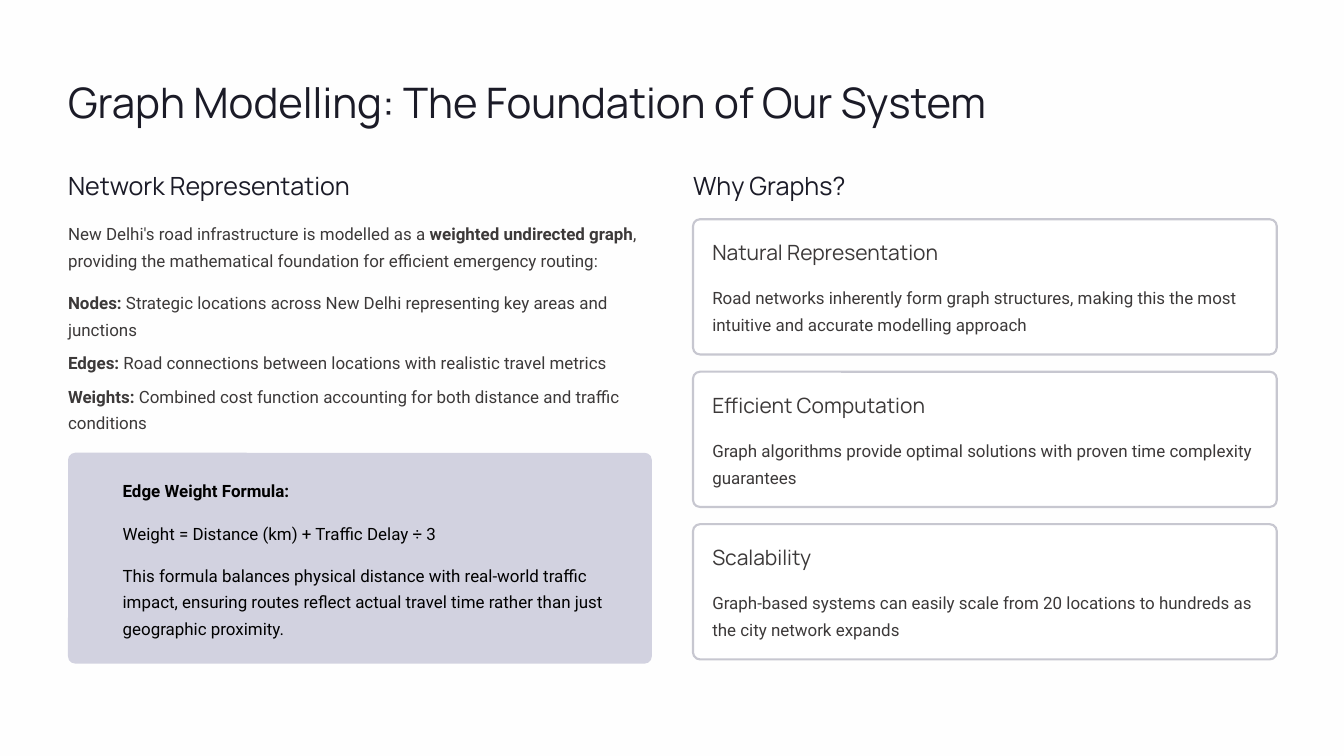
from dataclasses import dataclass

from lxml.etree import SubElement
from pptx import Presentation
from pptx.dml.color import RGBColor
from pptx.enum.shapes import MSO_SHAPE
from pptx.enum.text import MSO_ANCHOR, MSO_AUTO_SIZE, PP_ALIGN
from pptx.oxml.ns import qn
from pptx.util import Inches, Pt


@dataclass(frozen=True)
class Theme:
    background = RGBColor.from_string("FEFEFE")
    white = RGBColor.from_string("FFFFFF")
    ink = RGBColor.from_string("1B1B27")
    gray = RGBColor.from_string("3C3939")
    black = RGBColor.from_string("000000")
    panel = RGBColor.from_string("D2D2E0")
    border = RGBColor.from_string("C7C7D0")
    # font, size, line spacing, colour
    title = ("Manrope", 36, 45, ink)
    heading = ("Manrope", 21.5, 27, ink)
    card_title = ("Manrope", 18, 22.5, gray)
    body = ("Roboto", 14.5, 23, gray)
    formula = ("Roboto", 14.5, 23, black)


def write(sp, box, paragraphs, style, gap=0):
    """Place sp at box; each paragraph is a list of (text, bold) runs."""
    sp.left, sp.top, sp.width, sp.height = map(Inches, box)
    font, size, spacing, color = style
    tf = sp.text_frame
    frame_format = {
        "margin_left": 0, "margin_right": 0, "margin_top": 0, "margin_bottom": 0,
        "word_wrap": True, "auto_size": MSO_AUTO_SIZE.NONE,
        "vertical_anchor": MSO_ANCHOR.TOP,
    }
    for name, value in frame_format.items():
        setattr(tf, name, value)
    for i, runs in enumerate(paragraphs):
        p = tf.add_paragraph() if i else tf.paragraphs[0]
        pPr = p._p.get_or_add_pPr()
        pPr.set("marL", "0")
        pPr.set("indent", "0")
        SubElement(pPr, qn("a:buNone"))
        p.alignment = PP_ALIGN.LEFT
        p.line_spacing = Pt(spacing)
        p.space_before = Pt(gap if i else 0)
        for text, bold in runs:
            r = p.add_run()
            r.text = text
            run_format = {"name": font, "size": Pt(size), "bold": bold}
            for name, value in run_format.items():
                setattr(r.font, name, value)
            r.font.color.rgb = color


def add_panel(box, radius, fill, line=None):
    sp = s.shapes.add_shape(MSO_SHAPE.ROUNDED_RECTANGLE, *map(Inches, box))
    sp.adjustments[0] = radius
    sp.shadow.inherit = False
    sp.fill.solid()
    sp.fill.fore_color.rgb = fill
    if line is None:
        sp.line.fill.background()
    else:
        sp.line.color.rgb = line
        sp.line.width = Pt(1.8)


theme = Theme()
prs = Presentation()
prs.slide_width, prs.slide_height = Inches(16), Inches(9)
s = prs.slides.add_slide(prs.slide_layouts[1])
s.background.fill.solid()
s.background.fill.fore_color.rgb = theme.background

LEFT, RIGHT, COLUMN = 0.81, 8.25, 6.95

write(s.shapes.title, (LEFT, 0.88, 14.39, 0.63),
      [[("Graph Modelling: The Foundation of Our System", False)]], theme.title)

write(s.placeholders[1], (LEFT, 3.41, COLUMN, 1.75), [
    [("Nodes:", True),
     (" Strategic locations across New Delhi representing key areas and junctions", False)],
    [("Edges:", True),
     (" Road connections between locations with realistic travel metrics", False)],
    [("Weights:", True),
     (" Combined cost function accounting for both distance and traffic conditions", False)],
], theme.body, gap=5.5)

add_panel((LEFT, 5.39, COLUMN, 2.51), 0.034, theme.panel)

texts = [
    ((LEFT, 2.01, COLUMN, 0.38), [("Network Representation", False)], theme.heading),
    ((RIGHT, 2.01, COLUMN, 0.38), [("Why Graphs?", False)], theme.heading),
    ((LEFT, 2.59, COLUMN, 0.64),
     [("New Delhi's road infrastructure is modelled as a ", False),
      ("weighted undirected graph", True),
      (", providing the mathematical foundation for efficient emergency routing:", False)],
     theme.body),
    ((1.46, 5.64, 6.09, 0.32), [("Edge Weight Formula:", True)], theme.formula),
    ((1.46, 6.15, 6.09, 0.32),
     [("Weight = Distance (km) + Traffic Delay ÷ 3", False)], theme.formula),
    ((1.46, 6.65, 6.09, 0.97),
     [("This formula balances physical distance with real-world traffic impact, "
       "ensuring routes reflect actual travel time rather than just geographic "
       "proximity.", False)], theme.formula),
]

cards = [
    ("Natural Representation",
     "Road networks inherently form graph structures, making this the most "
     "intuitive and accurate modelling approach"),
    ("Efficient Computation",
     "Graph algorithms provide optimal solutions with proven time complexity guarantees"),
    ("Scalability",
     "Graph-based systems can easily scale from 20 locations to hundreds as "
     "the city network expands"),
]
CARD_TOP, CARD_HEIGHT, CARD_PITCH = 2.61, 1.61, 1.815
for i, (name, reason) in enumerate(cards):
    top = CARD_TOP + i * CARD_PITCH
    add_panel((RIGHT, top, COLUMN, CARD_HEIGHT), 0.052, theme.white, theme.border)
    texts += [
        ((RIGHT + 0.23, top + 0.23, 6.5, 0.31), [(name, False)], theme.card_title),
        ((RIGHT + 0.23, top + 0.74, 6.5, 0.64), [(reason, False)], theme.body),
    ]

for box, runs, style in texts:
    write(s.shapes.add_textbox(0, 0, 0, 0), box, [runs], style)

prs.save("out.pptx")
